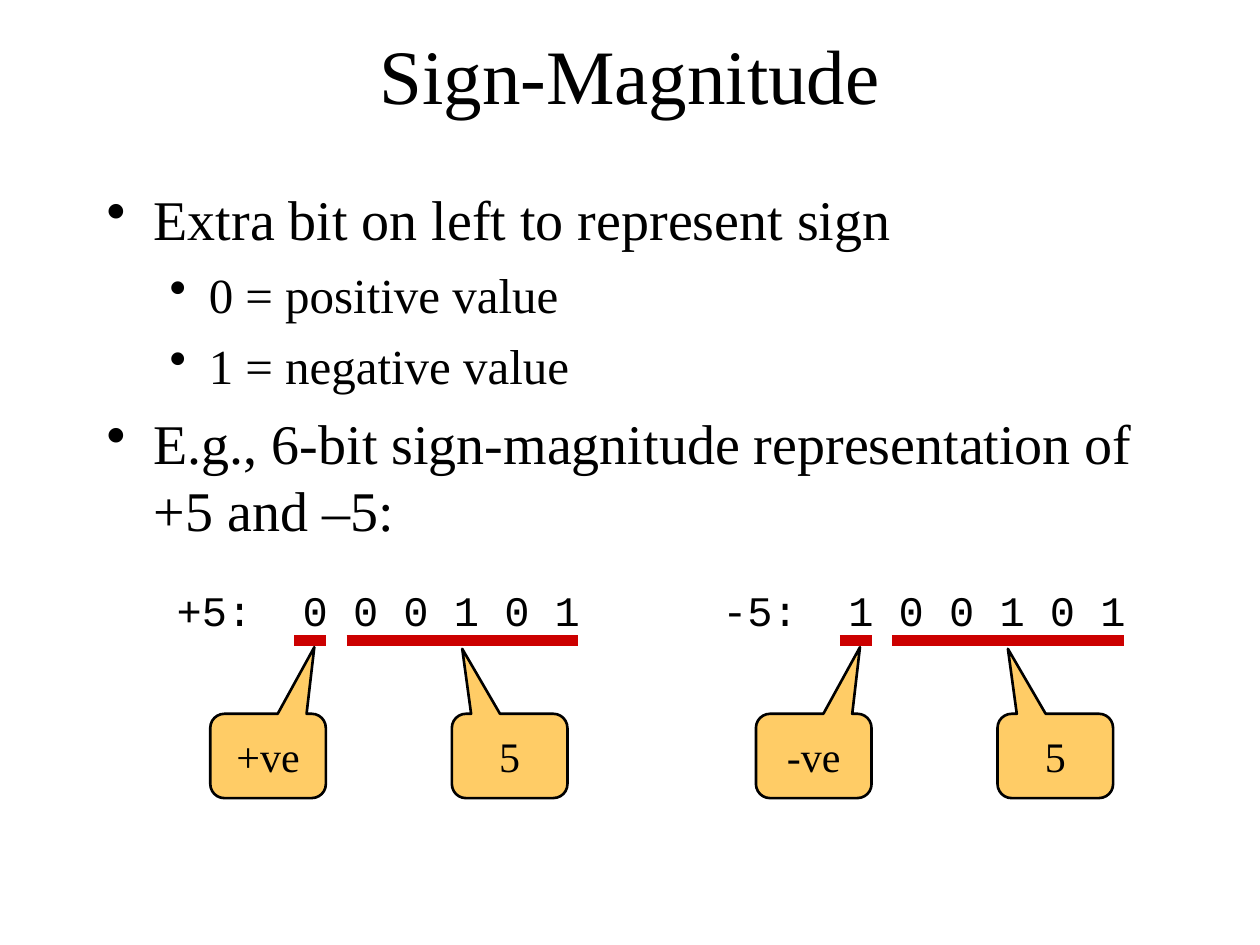
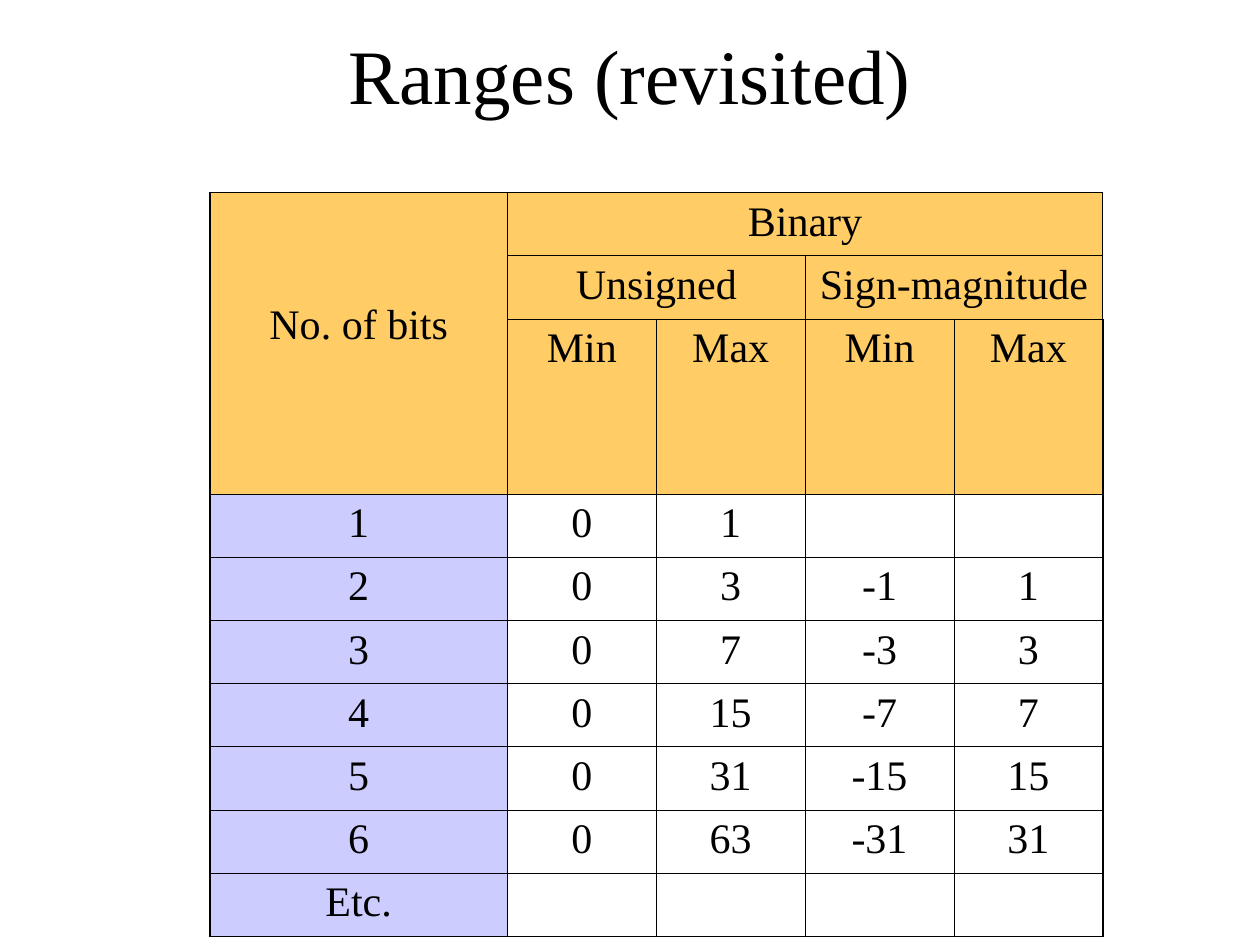
from dataclasses import dataclass

from lxml.etree import SubElement
from pptx import Presentation
from pptx.dml.color import RGBColor
from pptx.enum.shapes import MSO_CONNECTOR as Connector, MSO_SHAPE as Shape
from pptx.enum.text import MSO_ANCHOR as Anchor, MSO_AUTO_SIZE as AutoSize, PP_ALIGN as Align
from pptx.oxml.ns import qn
from pptx.util import Cm, Pt

BLACK, WHITE, RED, AMBER, LILAC = "000000", "FFFFFF", "CC0000", "FFCC66", "CCCCFF"
SERIF, MONO = "Times New Roman", "Courier New"
TITLE_ONLY = 5


@dataclass
class Bullet:
    text: str
    level: int = 0


@dataclass
class BulletStyle:
    size: int
    space: int
    indent: float
    hanging: float


@dataclass
class Callout:
    text: str
    left: float
    tip: tuple[float, float]


@dataclass
class Example:
    """A signed number, its bits and the labels of its two parts."""
    left: float
    number: str
    bits: str
    sign: str
    magnitude: str


BULLET_STYLES = [BulletStyle(32, 8, 0.95, 0.95), BulletStyle(28, 7, 2.06, 0.79)]
BULLETS = [
    Bullet("Extra bit on left to represent sign"),
    Bullet("0 = positive value", 1),
    Bullet("1 = negative value", 1),
    Bullet("E.g., 6-bit sign-magnitude representation of +5 and –5:"),
]
EXAMPLES = [
    Example(3.18, "+5:", "0 0 0 1 0 1", "+ve", "5"),
    Example(14.18, "-5:", "1 0 0 1 0 1", "-ve", "5"),
]


def color(value: str) -> RGBColor:
    return RGBColor.from_string(value)


def add_span(para, text: str, size: int, font: str = SERIF) -> None:
    span = para.add_run()
    span.text = text
    span.font.size = Pt(size)
    span.font.name = font
    span.font.color.rgb = color(BLACK)


def add_page(deck, title: str):
    page = deck.slides.add_slide(deck.slide_layouts[TITLE_ONLY])
    box = page.shapes.title
    box.left, box.top, box.width, box.height = Cm(1.9), Cm(0.42), Cm(21.6), Cm(2.12)
    frame = box.text_frame
    frame.auto_size = AutoSize.NONE
    frame.vertical_anchor = Anchor.MIDDLE
    para = frame.paragraphs[0]
    para.alignment = Align.CENTER
    add_span(para, title, 44)
    return page


def add_text_box(shapes, left: float, top: float, width: float, height: float):
    frame = shapes.add_textbox(Cm(left), Cm(top), Cm(width), Cm(height)).text_frame
    frame.word_wrap = True
    return frame


def add_bullets(page, bullets: list[Bullet]) -> None:
    frame = add_text_box(page.shapes, 1.9, 3.6, 21.6, 11.43)
    for index, bullet in enumerate(bullets):
        para = frame.add_paragraph() if index else frame.paragraphs[0]
        style = BULLET_STYLES[bullet.level]
        para.level = bullet.level
        para.space_before = Pt(style.space)
        properties = para._p.get_or_add_pPr()
        properties.set("marL", str(Cm(style.indent)))
        properties.set("indent", str(-Cm(style.hanging)))
        SubElement(properties, qn("a:buChar"), char="•")
        add_span(para, bullet.text, style.size)


def add_underline(shapes, left: float, right: float) -> None:
    top = Cm(12.91)
    line = shapes.add_connector(Connector.STRAIGHT, Cm(left), top, Cm(right), top)
    line.line.color.rgb = color(RED)
    line.line.width = Pt(6)
    SubElement(line._element.spPr, qn("a:effectLst"))


def add_callout(shapes, callout: Callout) -> None:
    box = shapes.add_shape(Shape.ROUNDED_RECTANGULAR_CALLOUT,
                           Cm(callout.left), Cm(14.39), Cm(2.33), Cm(1.7))
    box.shadow.inherit = False
    box.adjustments[0], box.adjustments[1] = callout.tip
    box.fill.solid()
    box.fill.fore_color.rgb = color(AMBER)
    box.line.color.rgb = color(BLACK)
    box.line.width = Pt(1.5)
    box.text_frame.vertical_anchor = Anchor.MIDDLE
    para = box.text_frame.paragraphs[0]
    para.alignment = Align.CENTER
    add_span(para, callout.text, 24)


def add_example(page, example: Example) -> None:
    shapes = page.shapes.add_group_shape().shapes
    left = example.left
    para = add_text_box(shapes, left, 11.85, 8.89, 1.07).paragraphs[0]
    para.alignment = Align.CENTER
    para.line_spacing = 0.8
    para.space_before = Pt(15)
    add_span(para, f"{example.number}\t{example.bits}", 24, MONO)
    add_underline(shapes, left + 3.81, left + 8.47)
    add_underline(shapes, left + 2.75, left + 3.39)
    add_callout(shapes, Callout(example.sign, left + 1.06, (0.4, -1.29)))
    add_callout(shapes, Callout(example.magnitude, left + 5.93, (-0.41, -1.27)))


def set_borders(cell, outer_sides: dict[str, bool]) -> None:
    """Draw the four sides, with a heavier line where a side is on the outside."""
    properties = cell._tc.get_or_add_tcPr()
    for index, (side, outer) in enumerate(outer_sides.items()):
        line = SubElement(properties, qn(f"a:{side}"), w=str(Pt(1.08 if outer else 0.45)))
        SubElement(SubElement(line, qn("a:solidFill")), qn("a:srgbClr"), val=BLACK)
        properties.remove(line)
        properties.insert(index, line)


def range_rows(most_bits: int) -> list[list[str]]:
    rows = []
    for bits in range(1, most_bits + 1):
        limit = 2 ** (bits - 1) - 1
        signed = [str(-limit), str(limit)] if limit else ["", ""]
        rows.append([str(bits), "0", str(2 ** bits - 1), *signed])
    return rows


def add_range_table(page) -> None:
    headings = [
        ["No. of bits", "Binary", "", "", ""],
        ["", "Unsigned", "", "Sign-magnitude", ""],
        ["", "Min", "Max", "Min", "Max"],
    ]
    rows = headings + range_rows(6) + [["Etc.", "", "", "", ""]]
    last_row, last_column = len(rows) - 1, len(rows[0]) - 1
    table = page.shapes.add_table(len(rows), len(rows[0]), Cm(4.23), Cm(3.88),
                                  Cm(18), Cm(15)).table
    table.first_row = table.horz_banding = False
    for index, column in enumerate(table.columns):
        column.width = Cm(3) if index else Cm(6)
    for index, row in enumerate(table.rows):
        row.height = Cm(3.53) if index == len(headings) - 1 else Cm(1.275)

    for y, texts in enumerate(rows):
        for x, text in enumerate(texts):
            cell = table.cell(y, x)
            cell.fill.solid()
            shade = AMBER if y < len(headings) else WHITE if x else LILAC
            cell.fill.fore_color.rgb = color(shade)
            set_borders(cell, {"lnL": x == 0, "lnR": x == last_column,
                               "lnT": y == 0, "lnB": y == last_row})
            if text:
                para = cell.text_frame.paragraphs[0]
                para.alignment = Align.CENTER
                para.space_before = Pt(6)
                add_span(para, text, 24)

    for first, last in [((0, 0), (2, 0)), ((0, 1), (0, 4)), ((1, 1), (1, 2)), ((1, 3), (1, 4))]:
        table.cell(*first).merge(table.cell(*last))
    corner = table.cell(0, 0)
    corner.vertical_anchor = Anchor.MIDDLE
    corner.margin_bottom = Cm(0.86)


def main() -> None:
    deck = Presentation()
    deck.slide_width, deck.slide_height = Cm(25.4), Cm(19.05)

    page = add_page(deck, "Sign-Magnitude")
    add_bullets(page, BULLETS)
    for example in EXAMPLES:
        add_example(page, example)

    add_range_table(add_page(deck, "Ranges (revisited)"))
    deck.save("out.pptx")


if __name__ == "__main__":
    main()
